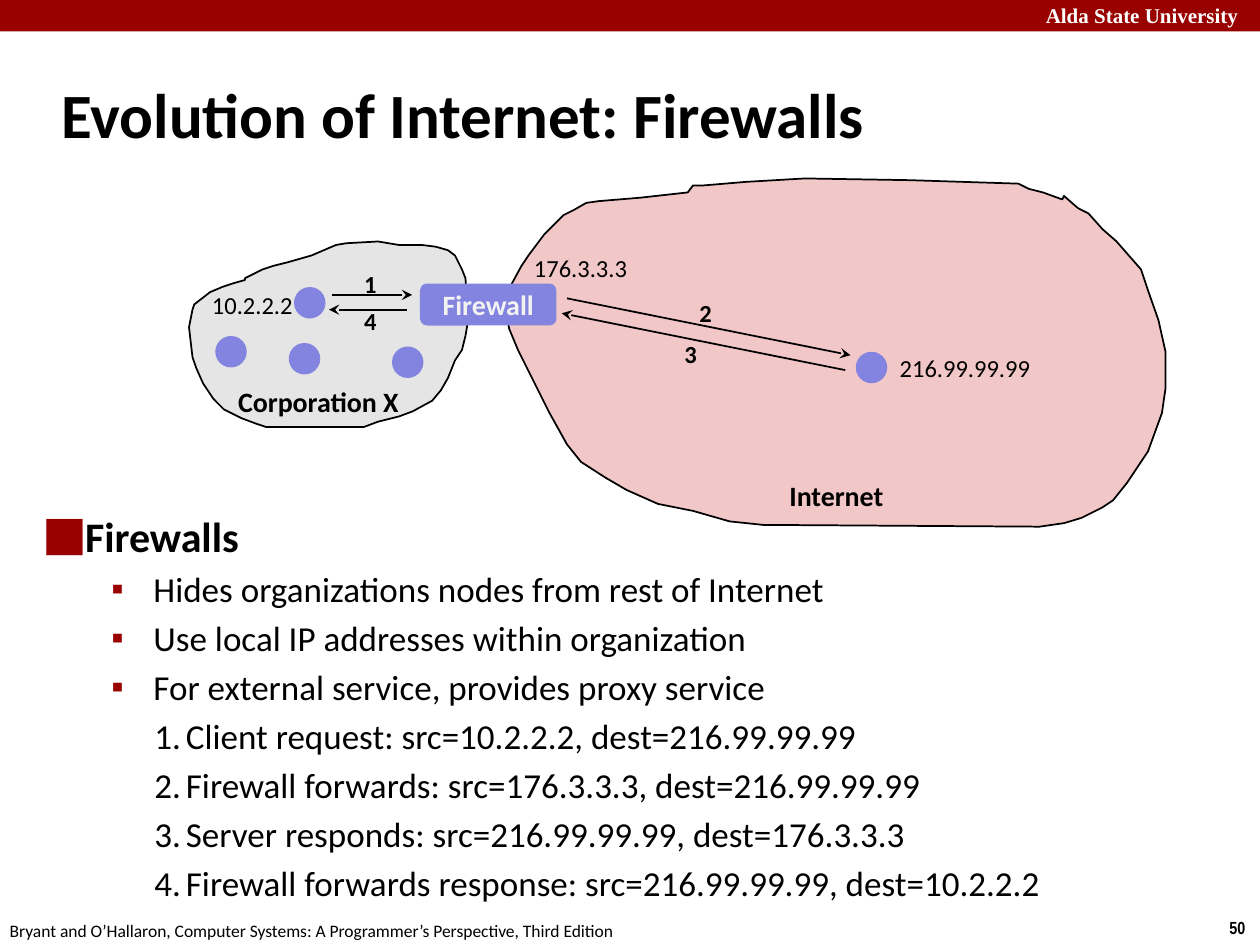
from lxml import etree
from pptx import Presentation
from pptx.dml.color import RGBColor
from pptx.enum.shapes import MSO_CONNECTOR, MSO_SHAPE
from pptx.enum.text import MSO_ANCHOR, MSO_AUTO_SIZE, PP_ALIGN
from pptx.oxml.ns import qn
from pptx.util import Pt

STRAIGHT = MSO_CONNECTOR.STRAIGHT
RECTANGLE = MSO_SHAPE.RECTANGLE
ROUNDED = MSO_SHAPE.ROUNDED_RECTANGLE
OVAL = MSO_SHAPE.OVAL
MIDDLE = MSO_ANCHOR.MIDDLE
FIXED = MSO_AUTO_SIZE.NONE
LEFT, CENTER = PP_ALIGN.LEFT, PP_ALIGN.CENTER

COLORS = {
    "black": "000000", "white": "FFFFFF", "crimson": "990000",
    "node": "8383E0", "corporation": "E5E5E5", "internet": "F1C7C7",
    "firewall_text": "F2F2F2",
}
NODE_SIZE = 18

CORPORATION_OUTLINE = [
    (140, 160.5), (133, 162), (127, 163.5), (119.5, 167), (111, 174),
    (109.5, 177), (108, 187), (110, 204.5), (112.5, 210), (116.5, 219),
    (122.5, 227.5), (128, 234), (138, 239), (145.5, 242.5), (152.5, 244),
    (175.5, 244.5), (208, 244), (216, 241), (228, 238), (235.5, 235),
    (247, 229), (252, 223), (256.5, 216.5), (260.5, 206), (263.5, 200),
    (266.5, 191.5), (267, 186), (267, 173), (266.5, 159), (263.5, 153.5),
    (260.5, 146), (255.5, 143), (249, 141), (241, 139.5), (228, 139.5),
    (216, 138), (198.5, 139), (191.5, 139.5), (178, 145.5), (164, 150.5),
    (156, 152.5), (150, 154), (140.5, 159),
]
INTERNET_OUTLINE = [
    (288, 175.5), (291.5, 163), (297.5, 152.5), (302.5, 146), (311, 134.5),
    (315.5, 129), (322, 123), (328.5, 119.5), (335, 116.5), (341.5, 115),
    (366, 113), (393, 110), (396.5, 106.5), (402, 106), (425.5, 103.5),
    (459.5, 102), (520.5, 103), (582, 105), (588, 107.5), (596, 109.5),
    (607, 114), (607.5, 112.5), (615.5, 119), (622, 122.5), (629.5, 131),
    (638.5, 138), (645, 146), (651.5, 154), (656.5, 165.5), (662.5, 183),
    (666, 201), (666.5, 205), (666, 222.5), (664.5, 235.5), (656, 258),
    (644.5, 276), (636.5, 286), (629.5, 290), (618, 296), (608.5, 299),
    (594.5, 301), (436.5, 299.5), (417, 297.5), (396, 292.5), (376.5, 287.5),
    (358.5, 280), (346.5, 273), (332, 263.5), (324.5, 253.5), (314.5, 236),
    (302.5, 211.5), (296, 199.5), (291, 188.5), (289.5, 183),
]
NODES = [(123, 192), (165, 196), (168, 164), (224, 198), (489, 201)]
ARROWS = [
    ((190, 168.5), (235.5, 168.5)),
    ((232.5, 177), (188, 177)),
    ((324, 170.5), (486, 203)),
    ((483, 211.5), (321, 179)),
]
STEP_LABELS = [("1", 201, 150), ("4", 201, 171.5), ("2", 392.5, 167), ("3", 384, 190)]
ADDRESSES = [
    ("10.2.2.2", 114, 162, 62),
    ("176.3.3.3", 298, 141, 68.5),
    ("216.99.99.99", 507, 198, 90),
]
REGION_NAMES = [("Corporation X", 129, 216, 108), ("Internet", 444, 270, 69)]
BENEFITS = [
    "Hides organizations nodes from rest of Internet",
    "Use local IP addresses within organization",
    "For external service, provides proxy service",
]
PROXY_STEPS = [
    "Client request: src=10.2.2.2, dest=216.99.99.99",
    "Firewall forwards: src=176.3.3.3, dest=216.99.99.99",
    "Server responds: src=216.99.99.99, dest=176.3.3.3",
    "Firewall forwards response: src=216.99.99.99, dest=10.2.2.2",
]


def rgb(color):
    return RGBColor.from_string(COLORS[color])


def write(paragraph, text, *, size, color="black", bold=False, font="Calibri", align=LEFT):
    paragraph.alignment = align
    run = paragraph.add_run()
    run.text = text
    run.font.name = font
    run.font.size = Pt(size)
    run.font.bold = bold
    run.font.color.rgb = rgb(color)


def add_label(slide, text, left, top, width, height, **text_format):
    label = slide.shapes.add_textbox(Pt(left), Pt(top), Pt(width), Pt(height))
    label.text_frame.word_wrap = False
    write(label.text_frame.paragraphs[0], text, **text_format)


def paint(shape, fill, outlined=False):
    shape.shadow.inherit = False
    shape.fill.solid()
    shape.fill.fore_color.rgb = rgb(fill)
    if outlined:
        shape.line.color.rgb = rgb("black")
        shape.line.width = Pt(1)
    else:
        shape.line.fill.background()


def add_block(slide, preset, left, top, width, height, fill):
    block = slide.shapes.add_shape(preset, Pt(left), Pt(top), Pt(width), Pt(height))
    paint(block, fill)
    return block


def add_region(slide, outline, fill):
    builder = slide.shapes.build_freeform(*outline[0], scale=Pt(1))
    builder.add_line_segments(outline[1:], close=True)
    paint(builder.convert_to_shape(), fill, outlined=True)


def add_arrow(slide, start, end):
    arrow = slide.shapes.add_connector(STRAIGHT, *(Pt(n) for n in start + end))
    arrow.line.color.rgb = rgb("black")
    arrow.line.width = Pt(1)
    etree.SubElement(arrow.line._get_or_add_ln(), qn("a:tailEnd"), type="stealth")
    etree.SubElement(arrow._element.spPr, qn("a:effectLst"))


def set_indent(paragraph, margin, hanging):
    properties = paragraph._p.get_or_add_pPr()
    properties.set("marL", str(Pt(margin)))
    properties.set("indent", str(Pt(-hanging)))
    return properties


def add_item(frame, text, *, level, margin, hanging, bullet_color="crimson",
             bullet=None, before=4, **text_format):
    """Add a list item; it is numbered when no bullet character is given."""
    item = frame.add_paragraph() if frame.text else frame.paragraphs[0]
    item.level = level
    item.space_before = Pt(before)
    write(item, text, **text_format)
    properties = set_indent(item, margin, hanging)
    tint = etree.SubElement(properties, qn("a:buClr"))
    etree.SubElement(tint, qn("a:srgbClr"), val=COLORS[bullet_color])
    if bullet:
        etree.SubElement(properties, qn("a:buChar"), char=bullet)
    else:
        etree.SubElement(properties, qn("a:buFont"), typeface="+mj-lt")
        etree.SubElement(properties, qn("a:buAutoNum"), type="arabicPeriod")


def place(placeholder, left, top, width, height):
    placeholder.left, placeholder.top = Pt(left), Pt(top)
    placeholder.width, placeholder.height = Pt(width), Pt(height)
    placeholder.text_frame.auto_size = FIXED
    return placeholder.text_frame


def add_page_frame(slide):
    add_block(slide, RECTANGLE, 0, 0, 720, 18, "crimson")
    add_label(slide, "Alda State University", 590.5, -2, 134.5, 21.5, size=12,
              color="white", bold=True, font="Times New Roman")
    add_label(slide, "50", 695.5, 520.5, 24.5, 19.5, size=10, bold=True, font="Arial Narrow")
    add_label(slide, "Bryant and O’Hallaron, Computer Systems: A Programmer’s "
              "Perspective, Third Edition", -1.5, 522, 366, 19.5, size=10)


def fill_placeholders(slide):
    heading = place(slide.shapes.title, 28, 34.5, 597.5, 60)
    heading.vertical_anchor = MIDDLE
    write(heading.paragraphs[0], "Evolution of Internet: Firewalls", size=36, bold=True)
    set_indent(heading.paragraphs[0], 9, 9)

    body = place(slide.placeholders[1], 18, 288, 654.5, 240)
    add_item(body, "Firewalls", level=0, margin=23, hanging=23, bullet="⬛",
             before=0, size=24, bold=True)
    for benefit in BENEFITS:
        add_item(body, benefit, level=1, margin=62.5, hanging=24, bullet="▪", size=20)
    for step in PROXY_STEPS:
        add_item(body, step, level=2, margin=81, hanging=18, bullet_color="black", size=20)


def add_network(slide):
    add_region(slide, CORPORATION_OUTLINE, "corporation")
    add_region(slide, INTERNET_OUTLINE, "internet")
    for left, top in NODES:
        add_block(slide, OVAL, left, top, NODE_SIZE, NODE_SIZE, "node")
    firewall = add_block(slide, ROUNDED, 240, 162, 78, 24, "node")
    firewall.text_frame.vertical_anchor = MIDDLE
    write(firewall.text_frame.paragraphs[0], "Firewall", size=16,
          color="firewall_text", bold=True, align=CENTER)
    for start, end in ARROWS:
        add_arrow(slide, start, end)
    for name, left, top, width in REGION_NAMES:
        add_label(slide, name, left, top, width, 26.5, size=16, bold=True)
    for address, left, top, width in ADDRESSES:
        add_label(slide, address, left, top, width, 24.5, size=14)
    for number, left, top in STEP_LABELS:
        add_label(slide, number, left, top, 21.5, 24.5, size=14, bold=True)


def main():
    deck = Presentation()
    deck.slide_width, deck.slide_height = Pt(720), Pt(540)
    slide = deck.slides.add_slide(deck.slide_layouts[1])
    add_page_frame(slide)
    fill_placeholders(slide)
    add_network(slide)
    deck.save("out.pptx")


if __name__ == "__main__":
    main()
